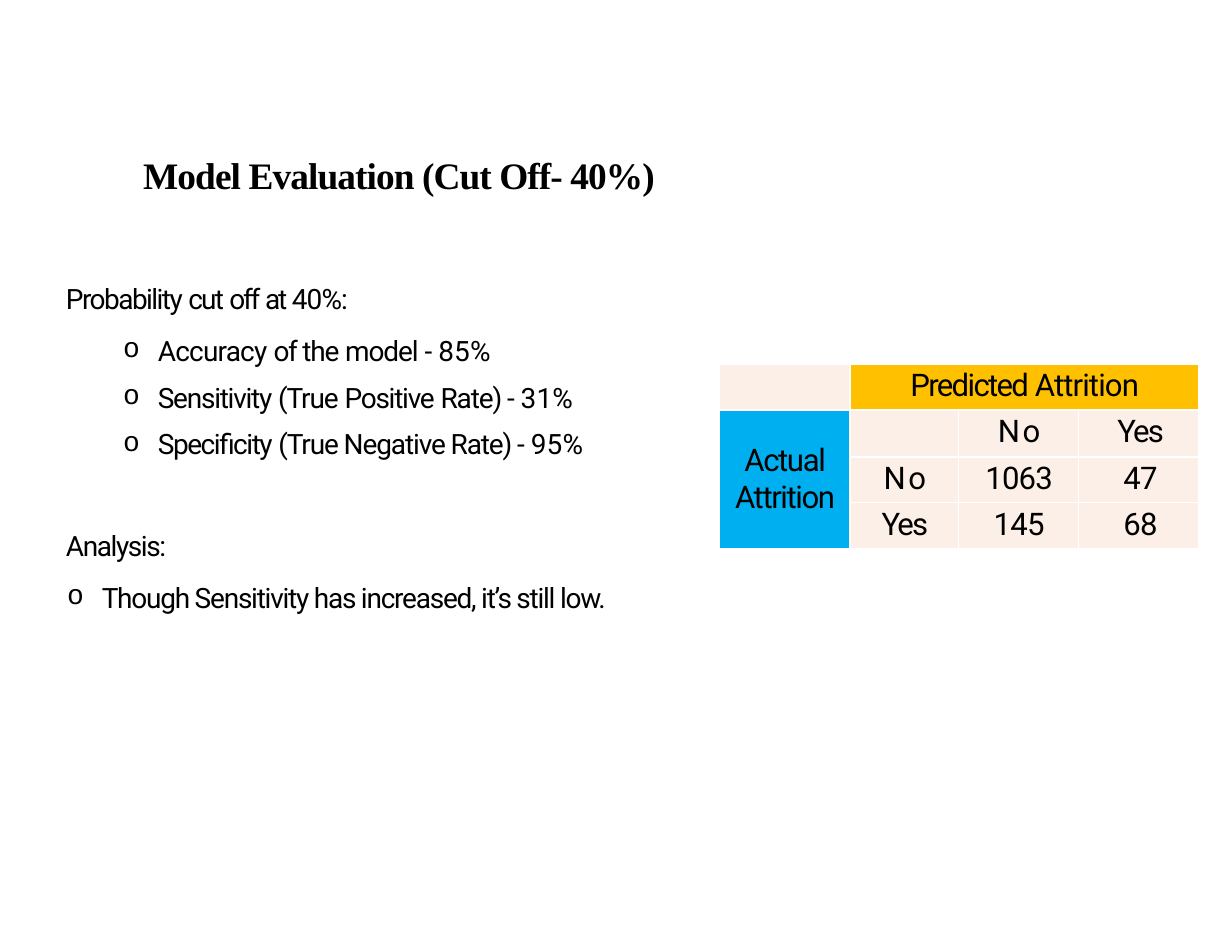
from pptx import Presentation
from pptx.dml.color import RGBColor
from pptx.enum.text import MSO_ANCHOR, PP_ALIGN
from pptx.oxml.ns import qn
from pptx.util import Inches, Pt
from lxml.etree import SubElement


def hue(code):
    return RGBColor.from_string(code)


def write(frame, text, gaps=(0,), size=18, font="Roboto", bold=False, align=PP_ALIGN.LEFT,
          before=0, lead=None, left=0.01, bullet=None):
    first = frame.paragraphs[0]
    para = frame.add_paragraph() if first.runs else first
    para.alignment = align
    para.space_before = Pt(before)
    if lead:
        para.line_spacing = lead
    props = para._p.get_or_add_pPr()
    props.set("marL", str(Inches(left)))
    props.set("indent", str(Inches(-0.31 if bullet else 0)))
    if bullet:
        SubElement(props, qn("a:buFont"), typeface="Courier New")
        SubElement(props, qn("a:buChar"), char=bullet)
    for part, gap in zip(text.split("|"), gaps):
        run = para.add_run()
        run.text = part
        run.font.size = Pt(size)
        run.font.name = font
        run.font.bold = bold
        run.font.color.rgb = hue("000000")
        run._r.get_or_add_rPr().set("spc", str(round(gap * 100)))


deck = Presentation()
deck.slide_width, deck.slide_height = Inches(11), Inches(8.5)
wide, high = deck.slide_width, deck.slide_height
slide = deck.slides.add_slide(deck.slide_layouts[6])

title = slide.shapes.add_textbox(int(wide * 0.1064), int(high * 0.1541), int(wide * 0.507), int(high * 0.059))
title.text_frame.word_wrap = True
write(title.text_frame, "Model Evaluation (Cut Off- 40%)", gaps=[-0.6], size=24,
      font="Times New Roman", bold=True, before=8.2)

rows = [0.41, 0.42, 0.41, 0.41]
cols = [1.17, 0.97, 1.07, 1.07]
grid = slide.shapes.add_table(4, 4, Inches(6.42), Inches(3.25), Inches(sum(cols)), Inches(sum(rows))).table
for row, size in zip(grid.rows, rows):
    row.height = Inches(size)
for col, size in zip(grid.columns, cols):
    col.width = Inches(size)
grid.cell(0, 1).merge(grid.cell(0, 3))
grid.cell(1, 0).merge(grid.cell(3, 0))

words = [
    ["", "Predicted |Attrition", "", ""],
    ["Actual\nAttrition", "", "No", "Yes"],
    ["", "No", "1063", "47"],
    ["", "Yes", "145", "68"],
]
fills = {(0, 1): "FFC000", (1, 0): "00AFEF"}
gaps = {"No": [1.6], "Yes": [-1.2], "Predicted |Attrition": [-1.1, -0.6]}
for r, line in enumerate(words):
    for c, text in enumerate(line):
        cell = grid.cell(r, c)
        cell.margin_left = cell.margin_right = cell.margin_bottom = 0
        cell.margin_top = Inches(0.03)
        props = cell._tc.get_or_add_tcPr()
        for side in ("lnL", "lnR", "lnT", "lnB"):
            edge = SubElement(props, qn(f"a:{side}"), w=str(Pt(1)))
            SubElement(SubElement(edge, qn("a:solidFill")), qn("a:srgbClr"), val="FFFFFF")
        cell.fill.solid()
        cell.fill.fore_color.rgb = hue(fills.get((r, c), "FCEFE7"))
        tall = (r, c) == (1, 0)
        if tall:
            cell.margin_top = 0
            cell.vertical_anchor = MSO_ANCHOR.MIDDLE
        for part in text.split("\n"):
            if part:
                write(cell.text_frame, part, gaps=gaps.get(part, [-0.9 if tall else -0.5]), size=20,
                      align=PP_ALIGN.CENTER, lead=Pt(23.7) if tall else None,
                      left=0.04 if c == 3 else 0.01)

body = slide.shapes.add_textbox(int(wide * 0.0527), int(high * 0.2941), int(wide * 0.507), int(high * 0.348))
frame = body.text_frame
frame.word_wrap = True
frame.margin_left = frame.margin_right = frame.margin_bottom = 0
frame.margin_top = Inches(0.01)
write(frame, "Probability |cut |off |at |40%:", gaps=[-1, -1.1, -1.4, -1.5, -0.6], before=1)
facts = [
    ("Accuracy |of the |model |- |85%", [-0.5, -0.8, -0.7, -0.6, 0.1], 12.2),
    ("Sensitivity |(True |Positive |Rate) - |31%", [-0.8, -0.7, -0.8, -0.7, 0.1], 8.4),
    ("Specificity |(True Negative Rate) - |95%", [-0.9, -0.7, 0.1], 8.4),
]
for text, gap, space in facts:
    write(frame, text, gaps=gap, before=space, left=0.83, bullet="o")
write(frame, "Analysis:", gaps=[-0.9], before=43.5)
write(frame, "Though Sensitivity has increased, it’s still low.", gaps=[-0.8],
      before=1, lead=1.5, left=0.33, bullet="o")

deck.save("out.pptx")
